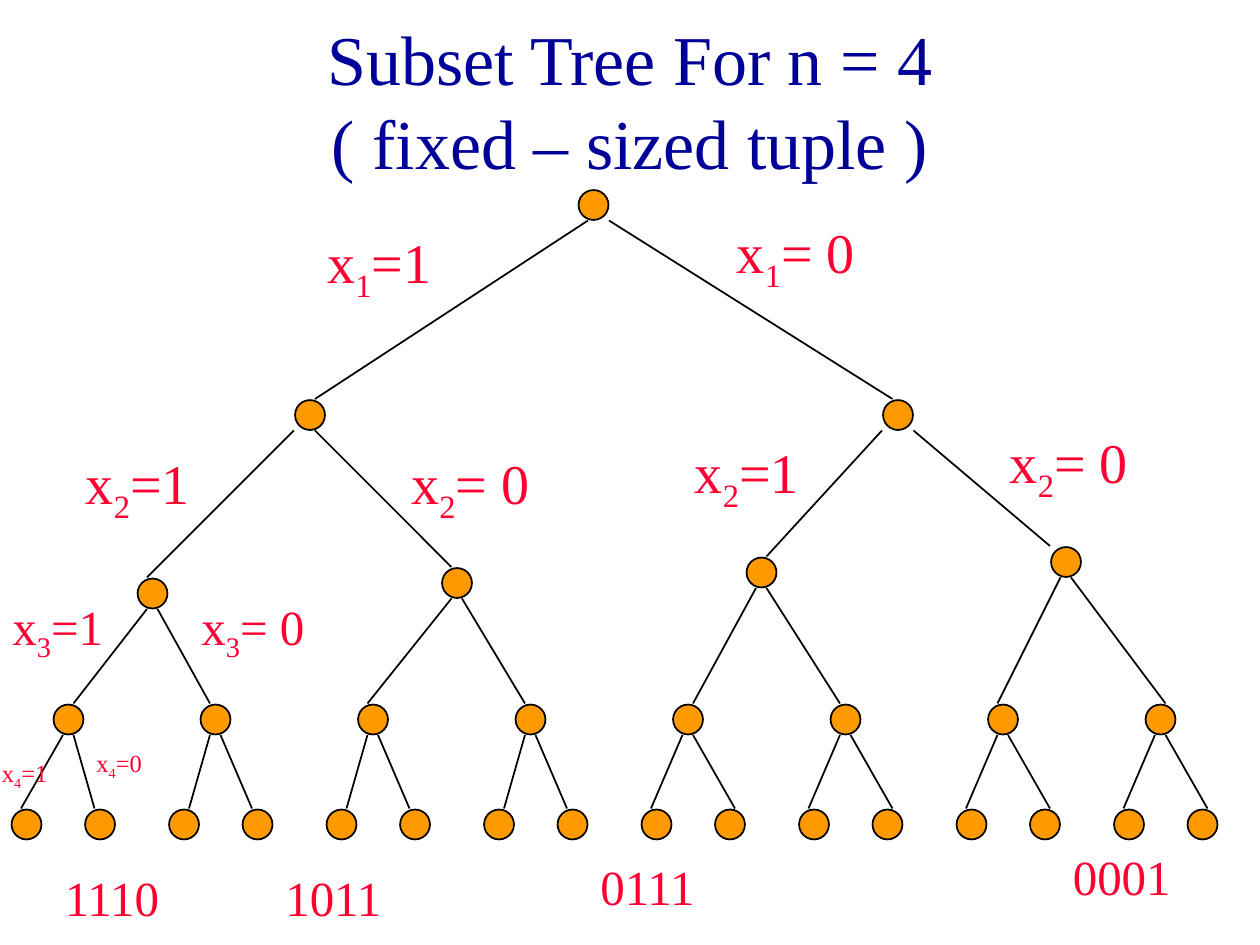
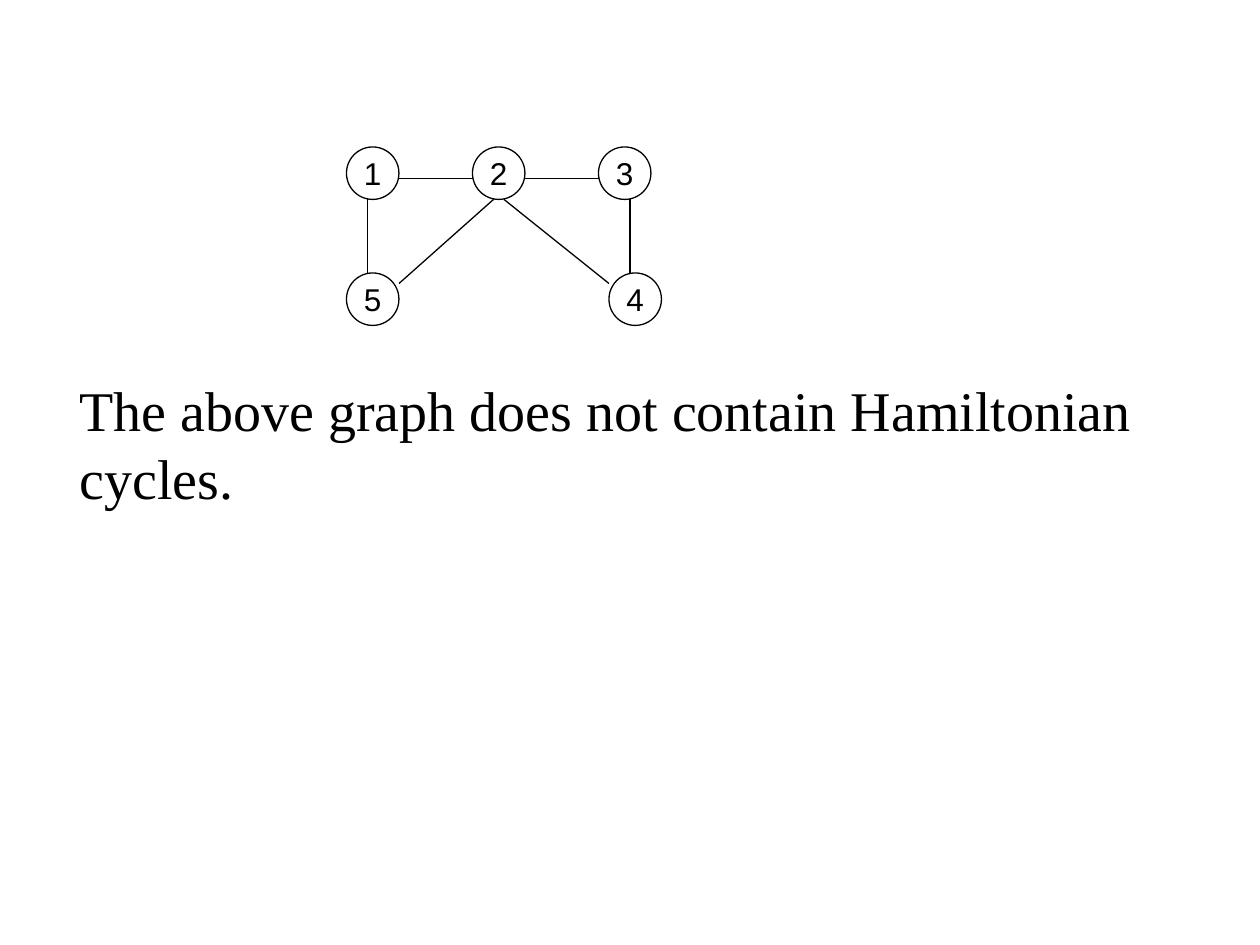
from pptx import Presentation
from pptx.dml.color import RGBColor
from pptx.enum.shapes import MSO_CONNECTOR, MSO_SHAPE
from pptx.enum.text import MSO_ANCHOR, PP_ALIGN
from pptx.oxml.ns import qn
from pptx.util import Cm, Pt

COLOURS = {"title": "000099", "label": "FF0033", "tree": "FF9900",
           "ink": "000000", "paper": "FFFFFF"}
SERIF, SANS = "Times New Roman", "Arial"

# Each level: columns, rows, and how far along the parent and the child
# each incoming branch touches them
TREE = [
    ([55], [18], "", ""),
    ([28, 84], [38] * 2, "13", "21"),
    ([13, 42, 71, 100], [55, 54, 53, 52], "0203", "1120"),
    ([5, 19, 34, 49, 64, 79, 94, 109], [67] * 8, "12" * 4, "21112112"),
    ([x + 15 * i for i in range(8) for x in (1, 8)], [77] * 16,
     "12" * 8, "1121212112121212"),
]
# Column, row, width, size, index, value
BRANCH_LABELS = [
    (30, 22, 14, 32, "1", "=1"), (69, 21, 14, 32, "1", "= 0"),
    (7, 43, 14, 32, "2", "=1"), (38, 43, 14, 32, "2", "= 0"),
    (65, 42, 14, 32, "2", "=1"), (95, 41, 14, 32, "2", "= 0"),
    (0, 57, 14, 28, "3", "=1"), (18, 57, 14, 28, "3", "= 0"),
    (-1, 72, 8, 14, "4", "=1"), (8, 71, 8, 14, "4", "=0"),
]
TUPLES = [(5, 82, "1110"), (26, 82, "1011"), (56, 81, "0111"), (101, 80, "0001")]

VERTICES = [(33, 14), (45, 14), (57, 14), (58, 26), (33, 26)]
EDGES = [(38, 17, 45, 17), (50, 17, 57, 17), (35, 19, 35, 26),
         (38, 27, 47, 19), (48, 19, 58, 27), (60, 19, 60, 26)]


def grid(n):
    """Length of n grid steps, twelve to the inch."""
    return Cm(n * 2.54 / 12)


def rgb(name):
    return RGBColor.from_string(COLOURS[name])


class Deck:
    def __init__(self):
        self.prs = Presentation()
        self.prs.slide_width, self.prs.slide_height = Cm(25.4), Cm(19.05)
        self.s = None

    def new_slide(self):
        self.s = self.prs.slides.add_slide(self.prs.slide_layouts[6])

    def add_run(self, p, text, size, colour, font=SERIF):
        r = p.add_run()
        r.text = text
        for name, value in {"size": Pt(size), "name": font}.items():
            setattr(r.font, name, value)
        r.font.color.rgb = rgb(colour)
        return r

    def text(self, x, y, w, h, lines, size, colour, **paragraph):
        """Place lines of text; each line is a list of runs, "_" marks a subscript."""
        sp = self.s.shapes.add_textbox(*map(grid, (x, y, w, h)))
        tf = sp.text_frame
        tf.word_wrap = True
        p = tf.paragraphs[0]
        form = {"line_spacing": Pt(1.2 * size), **paragraph}
        for name, value in form.items():
            setattr(p, name, value)
        for i, line in enumerate(lines):
            if i:
                p.add_line_break()
            for part in line:
                r = self.add_run(p, part.lstrip("_"), size, colour)
                if part.startswith("_"):
                    r.font._element.set("baseline", "-25000")
        return tf

    def title(self, *lines):
        tf = self.text(9, 2, 102, 15, [[line] for line in lines], 40, "title",
                       alignment=PP_ALIGN.CENTER)
        tf.vertical_anchor = MSO_ANCHOR.MIDDLE

    def node(self, x, y, size, fill, weight, text=""):
        sp = self.s.shapes.add_shape(MSO_SHAPE.OVAL, *map(grid, (x, y, size, size)))
        sp.shadow.inherit = False
        sp.fill.solid()
        sp.fill.fore_color.rgb = rgb(fill)
        sp.line.color.rgb = rgb("ink")
        sp.line.width = Pt(weight)
        if text:
            tf = sp.text_frame
            tf.word_wrap = False
            tf.vertical_anchor = MSO_ANCHOR.MIDDLE
            p = tf.paragraphs[0]
            p.alignment = PP_ALIGN.CENTER
            self.add_run(p, text, 18, "ink", SANS)

    def edge(self, x1, y1, x2, y2, weight):
        c = self.s.shapes.add_connector(MSO_CONNECTOR.STRAIGHT,
                                        *map(grid, (x1, y1, x2, y2)))
        c.line.color.rgb = rgb("ink")
        c.line.width = Pt(weight)
        spPr = c._element.spPr
        spPr.append(spPr.makeelement(qn("a:effectLst"), {}))


def subset_tree(deck):
    deck.new_slide()
    deck.title("Subset Tree For n = 4", "( fixed – sized tuple )")
    parents = []
    for columns, rows, exits, entries in TREE:
        nodes = list(zip(columns, rows))
        for i, (x, y) in enumerate(nodes):
            if parents:
                px, py = parents[i // 2]
                deck.edge(px + int(exits[i]), py + 3, x + int(entries[i]), y, 1)
            deck.node(x + 0.1, y + 0.1, 2.85, "tree", 1)
        parents = nodes
    for x, y, w, size, index, value in BRANCH_LABELS:
        deck.text(x, y, w, size / 4, [["x", "_" + index, value]], size, "label")
    for x, y, code in TUPLES:
        deck.text(x, y, 12, 7, [[code]], 28, "label")


def graph_without_cycle(deck):
    deck.new_slide()
    deck.text(6.4, 35.2, 103, 15,
              [["The above graph does not contain Hamiltonian cycles."]], 32, "ink")
    for number, (x, y) in enumerate(VERTICES, 1):
        deck.node(x, y, 5, "paper", 0.75, str(number))
    for ends in EDGES:
        deck.edge(*ends, 0.75)


def main():
    deck = Deck()
    subset_tree(deck)
    graph_without_cycle(deck)
    deck.prs.save("out.pptx")


if __name__ == "__main__":
    main()
